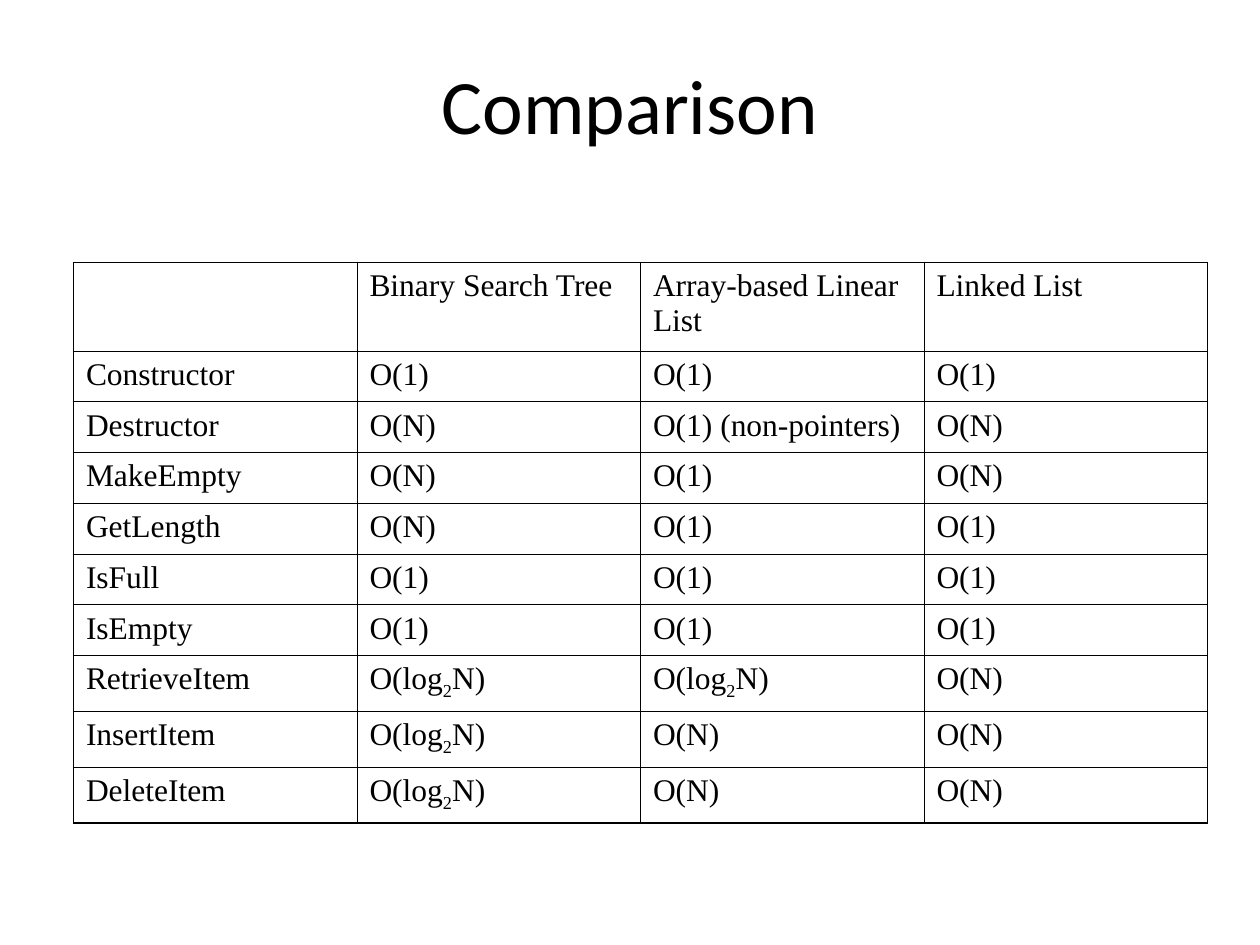
from lxml.etree import SubElement
from pptx import Presentation
from pptx.dml.color import RGBColor
from pptx.enum.text import MSO_ANCHOR as Anchor, PP_ALIGN as Align
from pptx.oxml.ns import qn
from pptx.util import Inches, Pt

BLACK = RGBColor(0, 0, 0)
COLUMNS, ROWS = 40, 540
INNER_LINE, OUTER_LINE = 0.45, 1.08
LOG = "O(log_2_N)"
COMPARISON = [
    ("", "Binary Search Tree", "Array-based Linear List", "Linked List"),
    ("Constructor", "O(1)", "O(1)", "O(1)"),
    ("Destructor", "O(N)", "O(1) (non-pointers)", "O(N)"),
    ("MakeEmpty", "O(N)", "O(1)", "O(N)"),
    ("GetLength", "O(N)", "O(1)", "O(1)"),
    ("IsFull", "O(1)", "O(1)", "O(1)"),
    ("IsEmpty", "O(1)", "O(1)", "O(1)"),
    ("RetrieveItem", LOG, LOG, "O(N)"),
    ("InsertItem", LOG, "O(N)", "O(N)"),
    ("DeleteItem", LOG, "O(N)", "O(N)"),
]
ROW_SPANS = [50.5] + [29] * 6 + [32] * 3


class SlideBuilder:
    title_font, title_size = "Calibri", 44
    body_font, body_size = "Times New Roman", 18

    def __init__(self, presentation):
        self.slide = presentation.slides.add_slide(presentation.slide_layouts[6])
        self.column = presentation.slide_width / COLUMNS
        self.row = presentation.slide_height / ROWS

    def area(self, left, top, width, height):
        return (round(left * self.column), round(top * self.row),
                round(width * self.column), round(height * self.row))

    def style(self, paragraph, name, size):
        paragraph.font.name = name
        paragraph.font.size = Pt(size)
        paragraph.font.color.rgb = BLACK

    def title(self, text, *area):
        frame = self.slide.shapes.add_textbox(*self.area(*area)).text_frame
        frame.word_wrap = True
        frame.vertical_anchor = Anchor.MIDDLE
        paragraph = frame.paragraphs[0]
        paragraph.text = text
        paragraph.alignment = Align.CENTER
        self.style(paragraph, self.title_font, self.title_size)

    def table(self, data, row_spans, left, top, width):
        area = self.area(left, top, width, sum(row_spans))
        table = self.slide.shapes.add_table(len(data), len(data[0]), *area).table
        table.first_row = table.horz_banding = False
        for table_row, span in zip(table.rows, row_spans):
            table_row.height = round(span * self.row)
        last_row, last_column = len(data) - 1, len(data[0]) - 1
        for r, texts in enumerate(data):
            for c, text in enumerate(texts):
                cell = table.cell(r, c)
                self.cell_text(cell, text)
                self.borders(cell, lnL=c == 0, lnR=c == last_column,
                             lnT=r == 0, lnB=r == last_row)
                cell.fill.background()

    def cell_text(self, cell, text):
        paragraph = cell.text_frame.paragraphs[0]
        self.style(paragraph, self.body_font, self.body_size)
        if not text:
            return
        for index, part in enumerate(text.split("_")):
            run = paragraph.add_run()
            run.text = part
            if index % 2:
                run.font._element.set("baseline", "-25000")

    def borders(self, cell, **sides):
        properties = cell._tc.get_or_add_tcPr()
        for side, is_outer in sides.items():
            width = Pt(OUTER_LINE if is_outer else INNER_LINE)
            line = SubElement(properties, qn(f"a:{side}"), w=str(width))
            fill = SubElement(line, qn("a:solidFill"))
            SubElement(fill, qn("a:srgbClr"), val=str(BLACK))


def main():
    presentation = Presentation()
    presentation.slide_width, presentation.slide_height = Inches(10), Inches(7.5)
    builder = SlideBuilder(presentation)
    builder.title("Comparison", 2, 22, 36, 74)
    builder.table(COMPARISON, ROW_SPANS, 2.33, 150, 36)
    presentation.save("out.pptx")


if __name__ == "__main__":
    main()
